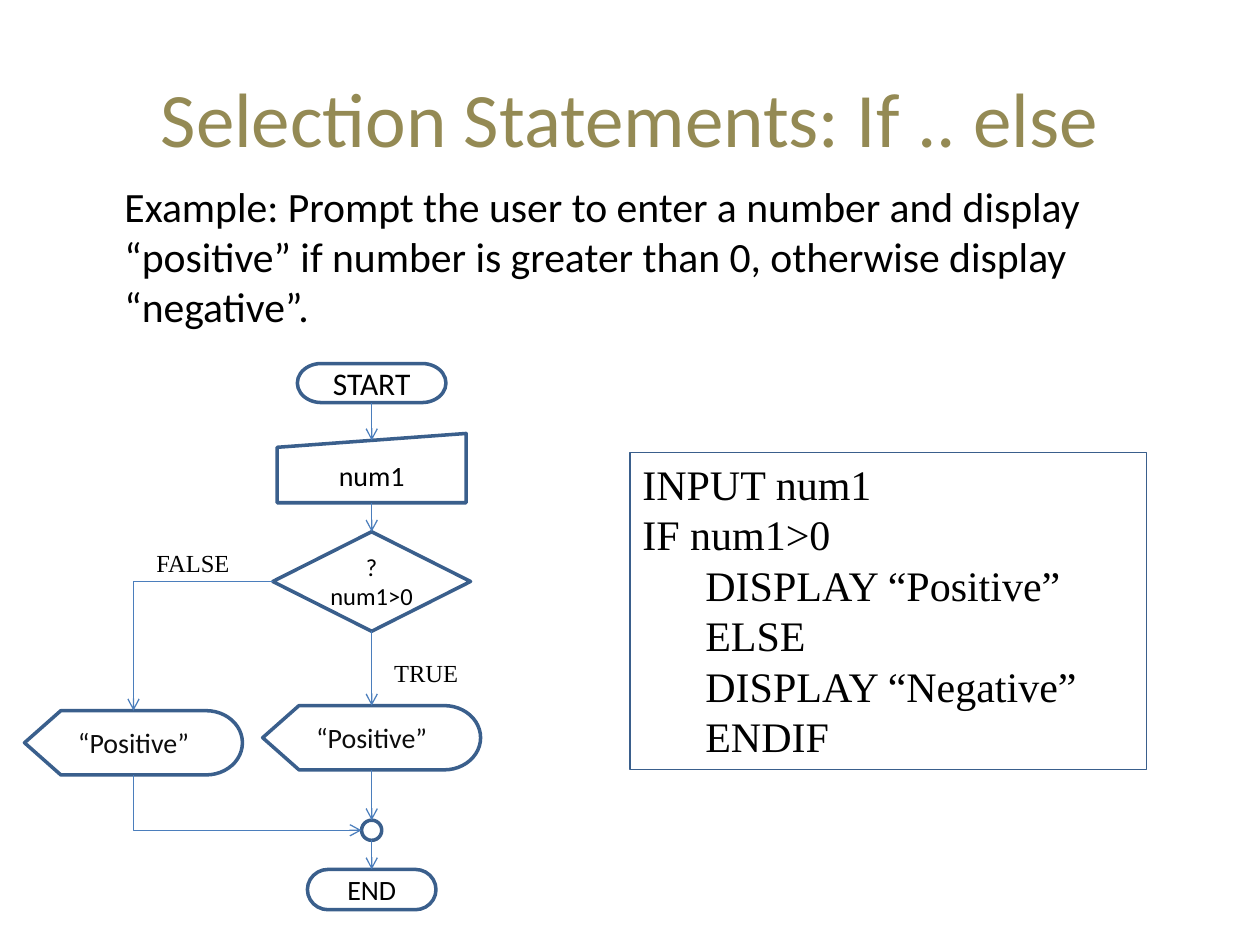
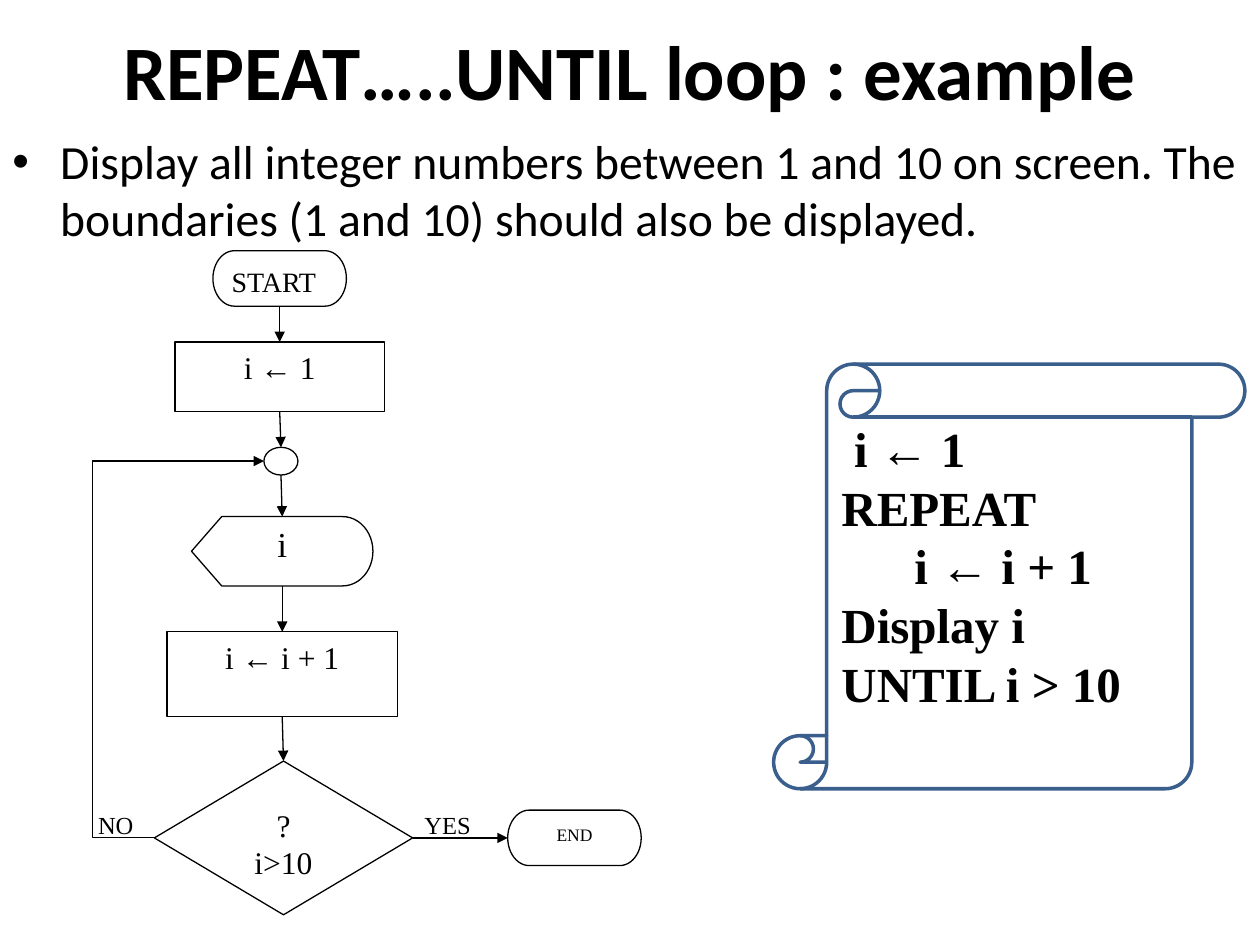
"""Build two slides that pair a flowchart with its pseudocode."""
from lxml.etree import SubElement
from pptx import Presentation
from pptx.dml.color import RGBColor
from pptx.enum.shapes import MSO_CONNECTOR as Link, MSO_SHAPE as Shape
from pptx.enum.text import MSO_ANCHOR as Anchor, PP_ALIGN as Align
from pptx.oxml.ns import qn
from pptx.util import Inches, Pt

BLACK, WHITE, NAVY, BLUE, OLIVE, INK = "000000", "FFFFFF", "3A5F8C", "4B7EBC", "948A54", "0D0D0D"
SANS, SERIF = "Calibri", "Times New Roman"
TOP, LEFT, BOTTOM, RIGHT = range(4)

TERMINATOR, DISPLAY = Shape.FLOWCHART_TERMINATOR, Shape.FLOWCHART_DISPLAY
MANUAL, DECISION = Shape.FLOWCHART_MANUAL_INPUT, Shape.FLOWCHART_DECISION
PROCESS, JUNCTION = Shape.FLOWCHART_PROCESS, Shape.FLOWCHART_CONNECTOR

SELECTION = {
    "title": ("Selection Statements: If .. else", (0.5, 0.3, 9, 1.25), OLIVE, False),
    "intro": ("Example: Prompt the user to enter a number and display “positive” if number "
              "is greater than 0, otherwise display “negative”.",
              (0.51, 1.39, 9, 1.13), 23.8, False),
    "chart": {"line": NAVY, "width": 2, "fill": None, "font": SANS, "anchor": Anchor.MIDDLE,
              "link": BLUE, "head": "arrow"},
    "nodes": {
        "start": (TERMINATOR, 2.95, 3.04, 1.18, 0.31, ["START"], 18),
        "input": (MANUAL, 2.95, 3.715, 1.5, 0.55, ["num1"], 16),
        "test": (DECISION, 2.95, 4.615, 1.57, 0.79, ["?", "num1>0"], 14),
        "true": (DISPLAY, 2.95, 5.855, 1.73, 0.51, ["“Positive”"], 16, INK),
        "false": (DISPLAY, 1.06, 5.895, 1.73, 0.51, ["“Positive”"], 16, INK),
        "join": (JUNCTION, 2.95, 6.59, 0.16, 0.16, [], 16),
        "end": (TERMINATOR, 2.95, 7.06, 1.02, 0.32, ["END"], 16),
    },
    "flow": ["start", "input", "test", "true", "join", "end"],
    "branches": [],
    "elbows": [("test", LEFT, "false", TOP, "bentConnector2", None, "tailEnd"),
               ("join", LEFT, "false", BOTTOM, "bentConnector2", None, "headEnd")],
    "labels": [("TRUE", (3.03, 5.17, 0.94, 0.34), Align.LEFT),
               ("FALSE", (0.98, 4.3, 0.94, 0.34), Align.RIGHT)],
    "panel": (Shape.RECTANGLE, (5, 3.59, 4.1, 2.52), 0.75),
    "code": ((5, 3.59, 4.1, 2.52), 24, False,
             [("INPUT num1", 0), ("IF num1>0", 0), ("DISPLAY “Positive”", 0.5), ("ELSE", 0.5),
              ("DISPLAY “Negative”", 0.5), ("ENDIF", 0.5)]),
}

REPETITION = {
    "title": ("REPEAT…..UNTIL loop : example", (0, -0.07, 10, 1.25), BLACK, True),
    "intro": ("Display all integer numbers between 1 and 10 on screen. The boundaries "
              "(1 and 10) should also be displayed.", (0, 1, 10, 1.09), 27.2, True),
    "chart": {"line": BLACK, "width": 0.75, "fill": WHITE, "font": SERIF, "anchor": Anchor.TOP,
              "link": BLACK, "head": "triangle"},
    "nodes": {
        "start": (TERMINATOR, 2.22, 2.21, 1.06, 0.44, ["START"], 16, BLACK, Align.LEFT),
        "set": (PROCESS, 2.22, 2.99, 1.66, 0.55, ["i ← 1"], 18),
        "join": (JUNCTION, 2.23, 3.66, 0.27, 0.22, [], 18),
        "show": (DISPLAY, 2.24, 4.375, 1.44, 0.55, ["i"], 20),
        "step": (PROCESS, 2.24, 5.35, 1.83, 0.67, ["i ← i + 1"], 18),
        "test": (DECISION, 2.25, 6.65, 2.05, 1.22, ["?", "i>10"], 18),
        "end": (TERMINATOR, 4.56, 6.65, 1.06, 0.44, ["END"], 10),
    },
    "flow": ["start", "set", "join", "show", "step", "test"],
    "branches": [("test", RIGHT, "end", LEFT)],
    "elbows": [("test", LEFT, "join", LEFT, "bentConnector3", -0.567, "tailEnd")],
    "labels": [("NO", (0.68, 6.38, 0.67, 0.39), Align.LEFT),
               ("YES", (3.27, 6.38, 0.67, 0.39), Align.LEFT)],
    "panel": (Shape.VERTICAL_SCROLL, (6.14, 2.89, 3.74, 3.37), 2),
    "code": ((6.58, 3.27, 2.8, 3.87), 28, True,
             [("i ← 1", 0.1), ("REPEAT", 0), ("i ← i + 1", 0.58), ("Display i", 0),
              ("UNTIL i > 10", 0)]),
}


def rgb(color):
    return RGBColor.from_string(color)


def inches(lengths):
    return [Inches(length) for length in lengths]


def write(frame, lines, size, font, color=BLACK, align=Align.LEFT, anchor=Anchor.TOP, bold=False):
    frame.word_wrap = True
    frame.vertical_anchor = anchor
    for number, (words, indent) in enumerate(lines):
        line = frame.add_paragraph() if number else frame.paragraphs[0]
        line.alignment = align
        if indent:
            line._p.get_or_add_pPr().set("marL", str(Inches(indent)))
        run = line.add_run()
        run.text = words
        run.font.size, run.font.name, run.font.bold = Pt(size), font, bold
        run.font.color.rgb = rgb(color)


def outline(slide, kind, box, line, width, fill=None):
    shape = slide.shapes.add_shape(kind, *inches(box))
    shape.shadow.inherit = False
    if fill:
        shape.fill.solid()
        shape.fill.fore_color.rgb = rgb(fill)
    else:
        shape.fill.background()
    shape.line.color.rgb = rgb(line)
    shape.line.width = Pt(width)
    return shape


def add_title(slide, words, box, color, bold):
    title = slide.shapes.title
    title.left, title.top, title.width, title.height = inches(box)
    write(title.text_frame, [(words, 0)], 44, SANS, color, Align.CENTER, Anchor.MIDDLE, bold)


def add_intro(slide, words, box, size, bulleted):
    frame = slide.shapes.add_textbox(*inches(box)).text_frame
    write(frame, [(words, 0.38)], size, SANS)
    if bulleted:
        props = frame.paragraphs[0]._p.get_or_add_pPr()
        props.set("indent", str(-Inches(0.38)))
        SubElement(props, qn("a:buFont")).set("typeface", "Arial")
        SubElement(props, qn("a:buChar")).set("char", "•")


def add_node(slide, style, kind, x, y, w, h, lines, size, color=BLACK, align=Align.CENTER):
    box = (x - w / 2, y - h / 2, w, h)
    node = outline(slide, kind, box, style["line"], style["width"], style["fill"])
    if kind == DECISION:
        node.text_frame.margin_left = node.text_frame.margin_right = 0
    write(node.text_frame, [(line, 0) for line in lines], size, style["font"], color, align,
          style["anchor"])
    return node


def side_point(node, side):
    kind, x, y, w, h = node[:5]
    slant = h / 10 if kind == MANUAL else 0
    return {TOP: (x, y - h / 2 + slant), LEFT: (x - w / 2, y),
            BOTTOM: (x, y + h / 2), RIGHT: (x + w / 2, y)}[side]


def add_link(slide, style, kind, start, finish, arrow_at="tailEnd"):
    link = slide.shapes.add_connector(kind, *inches(start + finish))
    link.line.color.rgb = rgb(style["link"])
    link.line.width = Pt(0.75)
    props = link._element.spPr
    SubElement(props.find(qn("a:ln")), qn(f"a:{arrow_at}")).set("type", style["head"])
    SubElement(props, qn("a:effectLst"))
    return link


def add_flowchart(slide, content):
    style, nodes = content["chart"], content["nodes"]
    for words, box, align in content["labels"]:
        label = slide.shapes.add_textbox(*inches(box))
        write(label.text_frame, [(words, 0)], 14, SERIF, align=align)
    drawn = {name: add_node(slide, style, *node) for name, node in nodes.items()}

    steps = [(a, BOTTOM, b, TOP) for a, b in zip(content["flow"], content["flow"][1:])]
    for a, a_side, b, b_side in steps + content["branches"]:
        link = add_link(slide, style, Link.STRAIGHT, side_point(nodes[a], a_side),
                        side_point(nodes[b], b_side))
        if nodes[a][0] != JUNCTION:
            link.begin_connect(drawn[a], a_side)
        if nodes[b][0] not in (JUNCTION, MANUAL):
            link.end_connect(drawn[b], b_side)

    for a, a_side, b, b_side, preset, bend, arrow_at in content["elbows"]:
        link = add_link(slide, style, Link.ELBOW, side_point(nodes[a], a_side),
                        side_point(nodes[b], b_side), arrow_at)
        geometry = link._element.spPr.find(qn("a:prstGeom"))
        geometry.set("prst", preset)
        if bend is not None:
            guide = SubElement(geometry.find(qn("a:avLst")), qn("a:gd"))
            guide.set("name", "adj1")
            guide.set("fmla", f"val {round(bend * 100000)}")


def add_code(slide, panel, code):
    kind, panel_box, width = panel
    box, size, bold, lines = code
    frame = outline(slide, kind, panel_box, NAVY, width).text_frame
    if box != panel_box:
        frame = slide.shapes.add_textbox(*inches(box)).text_frame
    write(frame, lines, size, SERIF, bold=bold)


def main():
    deck = Presentation()
    deck.slide_width, deck.slide_height = Inches(10), Inches(7.5)
    for content in (SELECTION, REPETITION):
        slide = deck.slides.add_slide(deck.slide_layouts[5])
        add_title(slide, *content["title"])
        add_intro(slide, *content["intro"])
        add_code(slide, content["panel"], content["code"])
        add_flowchart(slide, content)
    deck.save("out.pptx")


if __name__ == "__main__":
    main()
